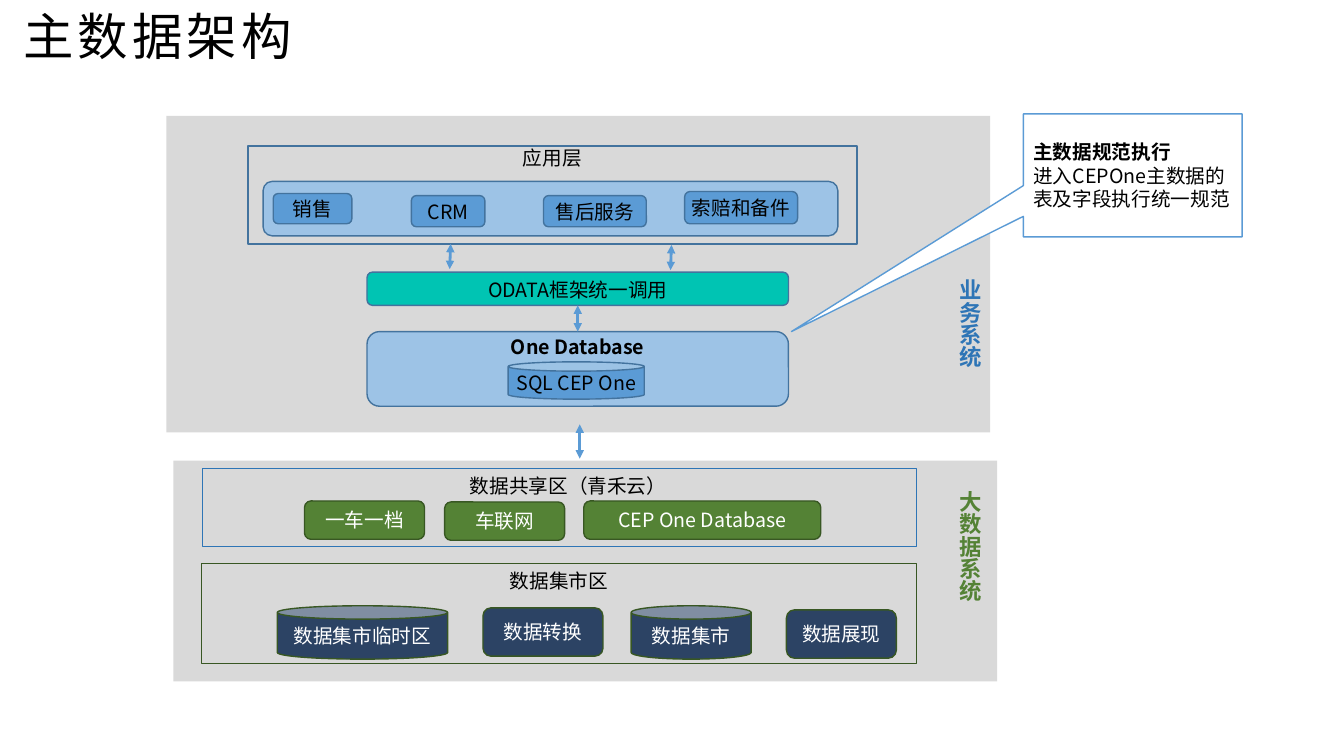
from lxml import etree
from pptx import Presentation
from pptx.dml.color import RGBColor
from pptx.enum.shapes import MSO_CONNECTOR, MSO_SHAPE
from pptx.enum.text import MSO_ANCHOR, MSO_AUTO_SIZE, PP_ALIGN
from pptx.oxml.ns import qn
from pptx.util import Inches, Pt

RECT, ROUND = MSO_SHAPE.RECTANGLE, MSO_SHAPE.ROUNDED_RECTANGLE
CAN, CALLOUT = MSO_SHAPE.CAN, MSO_SHAPE.RECTANGULAR_CALLOUT
STRAIGHT = MSO_CONNECTOR.STRAIGHT
TOP, MIDDLE = MSO_ANCHOR.TOP, MSO_ANCHOR.MIDDLE
LEFT, CENTER = PP_ALIGN.LEFT, PP_ALIGN.CENTER
GROW = MSO_AUTO_SIZE.SHAPE_TO_FIT_TEXT
TOP_SITE, BOTTOM_SITE = 0, 2

CJK_FONT, TITLE_FONT = "Noto Sans CJK SC", "Arial"
BLACK, WHITE, PANEL_GREY = "000000", "FFFFFF", "D9D9D9"
PALE_BLUE, BLUE, BLUE_EDGE, DEEP_BLUE = "9DC3E6", "5B9BD5", "43739E", "2E75B6"
TEAL, GREEN, GREEN_EDGE, NAVY = "00C4B3", "548235", "385723", "2C4364"
CELL = 0.1  # inches per grid column and row
TEXT_INSETS = (0, 0.5, 0, 0.5)


def rgb(hex_colour):
    return RGBColor.from_string(hex_colour)


def cells(count):
    return Inches(count * CELL)


class ArchitectureSlide:
    """Draws on a slide with a grid of 0.1 inch cells."""

    def __init__(self, presentation):
        self.slide = presentation.slides.add_slide(presentation.slide_layouts[6])
        self.shapes = self.slide.shapes

    def add_text(self, frame, paragraphs, colour, size=14, font=CJK_FONT,
                 align=CENTER, anchor=MIDDLE, insets=TEXT_INSETS):
        """Fill a frame with (text, bold) paragraphs."""
        frame.word_wrap = True
        frame.vertical_anchor = anchor
        (frame.margin_left, frame.margin_top,
         frame.margin_right, frame.margin_bottom) = map(cells, insets)
        for index, (text, bold) in enumerate(paragraphs):
            paragraph = frame.add_paragraph() if index else frame.paragraphs[0]
            paragraph.alignment = align
            run = paragraph.add_run()
            run.text = text
            run.font.size = Pt(size)
            run.font.bold = bold
            run.font.color.rgb = rgb(colour)
            run.font.name = font
            east_asian = etree.SubElement(run.font._element, qn("a:ea"))
            east_asian.set("typeface", CJK_FONT)

    def box(self, kind, place, fill=None, edge=None, text="", colour=BLACK,
            bold=False, **text_style):
        shape = self.shapes.add_shape(kind, *map(cells, place))
        shape.shadow.inherit = False
        if fill:
            shape.fill.solid()
            shape.fill.fore_color.rgb = rgb(fill)
        else:
            shape.fill.background()
        if edge:
            shape.line.color.rgb = rgb(edge)
            shape.line.width = Pt(1)
        else:
            shape.line.fill.background()
        if text:
            self.add_text(shape.text_frame, [(text, bold)], colour, **text_style)
        return shape

    def title(self, place, text):
        frame = self.shapes.add_textbox(*map(cells, place)).text_frame
        self.add_text(frame, [(text, False)], BLACK, 36, TITLE_FONT, LEFT, TOP,
                      (1, 0.5, 1, 0.5))
        frame.auto_size = GROW
        heading = frame.paragraphs[0]
        heading.line_spacing = 0.9
        heading.runs[0].font._element.set("spc", "300")

    def vertical_label(self, place, text, colour):
        frame = self.shapes.add_textbox(*map(cells, place)).text_frame
        self.add_text(frame, [(text, True)], colour, 16, align=LEFT, anchor=TOP)
        frame.auto_size = GROW
        frame._txBody.bodyPr.set("vert", "eaVert")

    def double_arrow(self, start, end):
        arrow = self.shapes.add_connector(STRAIGHT, *map(cells, start + end))
        arrow.line.color.rgb = rgb(BLUE)
        arrow.line.width = Pt(2)
        outline = arrow.line._get_or_add_ln()
        for tip in ("a:headEnd", "a:tailEnd"):
            etree.SubElement(outline, qn(tip)).set("type", "triangle")
        etree.SubElement(arrow._element.spPr, qn("a:effectLst"))
        return arrow

    def callout(self, place, pointer, paragraphs):
        shape = self.box(CALLOUT, place, WHITE, BLUE)
        shape.adjustments[0], shape.adjustments[1] = pointer
        self.add_text(shape.text_frame, paragraphs, BLACK, align=LEFT,
                      insets=(1, 0.5, 1, 0.5))


def draw_big_data_system(page):
    page.box(RECT, (17.2, 45.7, 81.7, 21.9), PANEL_GREY)
    page.box(RECT, (20, 55.9, 70.9, 9.9), None, GREEN_EDGE, "数据集市区", anchor=TOP)
    for kind, left, top, width, height, name in (
            (CAN, 27.5, 60.1, 16.9, 5.3, "数据集市临时区"),
            (CAN, 62.6, 60.1, 11.9, 5.3, "数据集市"),
            (ROUND, 47.9, 60.3, 11.9, 4.8, "数据转换"),
            (ROUND, 78, 60.5, 10.9, 4.8, "数据展现")):
        page.box(kind, (left, top, width, height), NAVY, GREEN_EDGE, name, WHITE)
    page.box(RECT, (20.1, 46.5, 70.8, 7.7), None, DEEP_BLUE,
             "数据共享区（青禾云）", anchor=TOP, insets=(1.7, 0.5, 0, 0.5))
    for left, top, width, name in ((30.2, 49.7, 11.9, "一车一档"),
                                   (44.1, 49.8, 11.9, "车联网"),
                                   (57.9, 49.7, 23.5, "CEP One Database")):
        page.box(ROUND, (left, top, width, 3.8), GREEN, GREEN_EDGE, name, WHITE)
    page.vertical_label((94.8, 47.7, 2.7, 15.2), "大数据系统", GREEN)


def draw_business_system(page):
    page.box(RECT, (16.5, 11.5, 81.7, 31.4), PANEL_GREY)
    page.box(ROUND, (26.1, 18, 57, 5.4), PALE_BLUE, BLUE_EDGE)
    for left, top, width, height, name in (
            (27.1, 19.2, 7.8, 3, "销售"),
            (40.8, 19.4, 7.3, 3.1, "CRM"),
            (53.9, 19.4, 10.2, 3.1, "售后服务"),
            (67.9, 19, 11.2, 3.2, "索赔和备件")):
        page.box(ROUND, (left, top, width, height), BLUE, BLUE_EDGE, name)
    page.box(RECT, (24.6, 14.5, 60.4, 9.7), None, BLUE_EDGE, "应用层",
             anchor=TOP, insets=(0, 0, 0, 0))
    database = page.box(ROUND, (36.4, 32.9, 41.8, 7.4), PALE_BLUE, BLUE_EDGE,
                        "One Database", bold=True, anchor=TOP,
                        insets=(0, 0, 0, 0))
    page.box(CAN, (50.4, 35.9, 13.5, 3.7), BLUE, BLUE_EDGE, "SQL CEP One",
             insets=(0, 0.8, 0, 0.8))
    odata = page.box(ROUND, (36.4, 27, 41.8, 3.3), TEAL, BLUE_EDGE,
                     "ODATA框架统一调用", anchor=TOP, insets=(0, 0.4, 0, 0.4))
    data_access = page.double_arrow((57.3, 32.9), (57.3, 30.3))
    data_access.begin_connect(database, TOP_SITE)
    data_access.end_connect(odata, BOTTOM_SITE)
    page.double_arrow((44.6, 26.7), (44.7, 24.2))
    page.double_arrow((66.5, 26.8), (66.6, 24.3))
    page.vertical_label((94.8, 26.7, 2.7, 14.6), "业务系统", DEEP_BLUE)


def main():
    presentation = Presentation()
    presentation.slide_width, presentation.slide_height = Inches(13.33), Inches(7.5)
    page = ArchitectureSlide(presentation)
    page.title((1.3, 0.7, 92.2, 6.5), "主数据架构")
    draw_big_data_system(page)
    draw_business_system(page)
    page.double_arrow((57.5, 42.1), (57.5, 45.5))
    page.callout((101.5, 11.3, 21.7, 12.2), (-1.56, 1.27),
                 [("主数据规范执行", True),
                  ("进入CEPOne主数据的表及字段执行统一规范", False)])
    presentation.save("out.pptx")


if __name__ == "__main__":
    main()
